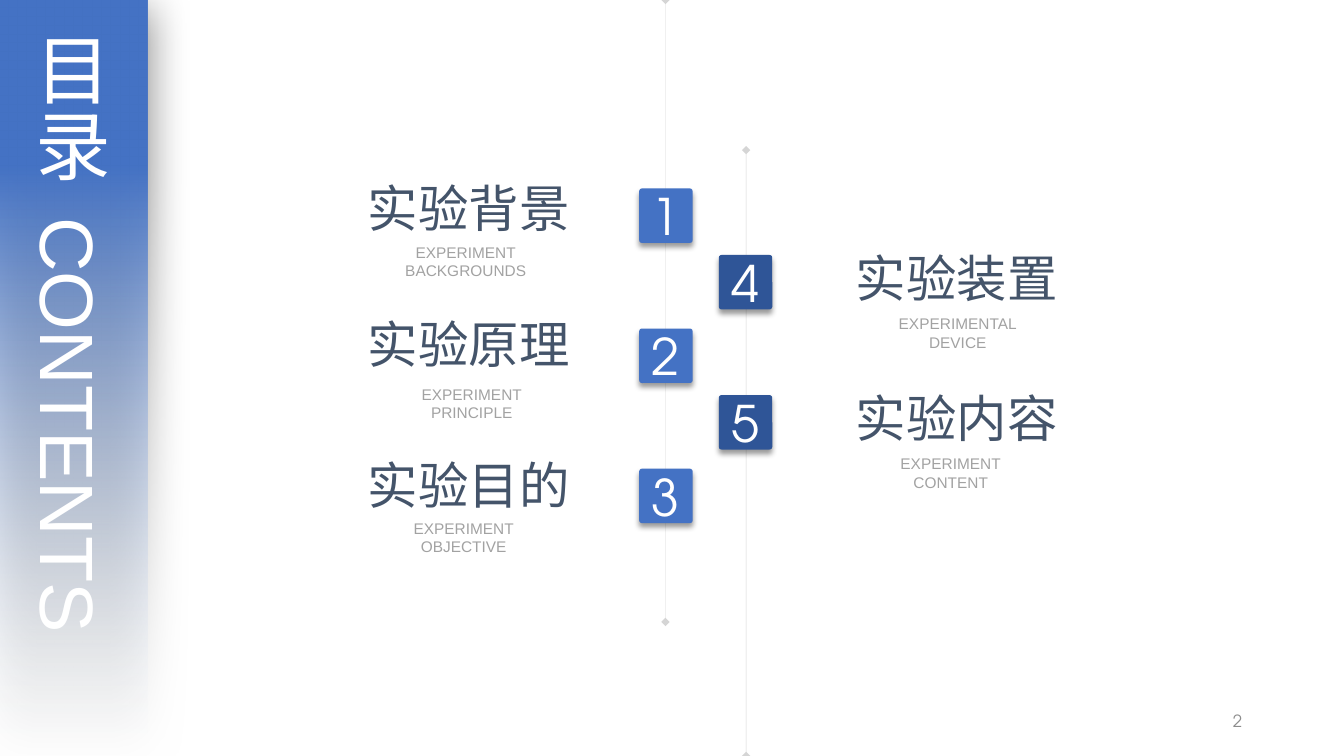
import copy
from dataclasses import dataclass

import pptx
import pptx.dml.color
import pptx.enum.dml
import pptx.enum.shapes
import pptx.enum.text
import pptx.oxml
import pptx.oxml.ns
import pptx.util

RGB = pptx.dml.color.RGBColor
SHAPES = pptx.enum.shapes.MSO_SHAPE
ALIGN = pptx.enum.text.PP_ALIGN
ANCHOR = pptx.enum.text.MSO_ANCHOR
AUTO_SIZE = pptx.enum.text.MSO_AUTO_SIZE
qn = pptx.oxml.ns.qn

PX = 9144  # EMU in one px, 100 px to the inch
WIDTH, HEIGHT = 1333, 750

BLUE = RGB(0x44, 0x72, 0xC4)
NAVY = RGB(0x2F, 0x55, 0x97)
PALE = RGB(0xF7, 0xFA, 0xFD)
SLATE = RGB(0x44, 0x54, 0x6A)
GRAY = RGB(0xA2, 0xA2, 0xA2)
LINE_GRAY = RGB(0x80, 0x80, 0x80)
NUMBER_GRAY = RGB(0x8C, 0x8C, 0x8C)
WHITE = RGB(0xFF, 0xFF, 0xFF)

LATIN, CHINESE, NUMERAL = "Arial", "Noto Sans CJK SC", "TeX Gyre Adventor"
BADGE_WIDTH, BADGE_HEIGHT, BADGE_STEP = 53, 54, 139
LABEL_WIDTH, LABEL_HEIGHT = 226, 71
CAPTION_WIDTH, CAPTION_HEIGHT = 200, 29


@dataclass
class Topic:
    label: str
    caption: str
    label_top: int
    caption_center: int
    caption_top: int


@dataclass
class Column:
    first: int
    color: RGB
    badge_left: int
    badge_top: int
    label_left: int
    line_x: int
    line_top: int
    line_bottom: int
    topics: list[Topic]


COLUMNS = [
    Column(4, NAVY, 713, 253, 839, 740, 149, HEIGHT, [
        Topic("实验装置", "EXPERIMENTAL\nDEVICE", 240, 950, 307),
        Topic("实验内容", "EXPERIMENT\nCONTENT", 379, 943, 446),
    ]),
    Column(1, BLUE, 634, 187, 355, 660, 0, 617, [
        Topic("实验背景", "EXPERIMENT\nBACKGROUNDS", 171, 462, 236),
        Topic("实验原理", "EXPERIMENT\nPRINCIPLE", 306, 468, 377),
        Topic("实验目的", "EXPERIMENT\nOBJECTIVE", 446, 460, 510),
    ]),
]


def px(*lengths: int) -> list[int]:
    return [length * PX for length in lengths]


def element(tag: str, **attributes: object):
    node = pptx.oxml.parse_xml(f"<a:{tag} {pptx.oxml.ns.nsdecls('a')}/>")
    for key, value in attributes.items():
        node.set(key, str(value))
    return node


def set_alpha(color_node, percent: int) -> None:
    color_node.append(element("alpha", val=percent * 1000))


def add_shadow(shape, *, alpha: int, blur: int, distance: int, angle: int) -> None:
    """Blur and distance in points, angle in degrees."""
    shape.shadow.inherit = False
    shadow = element("outerShdw", blurRad=blur * 12700, dist=distance * 12700,
                     dir=angle * 60000, algn="ctr", rotWithShape=0)
    black = element("srgbClr", val="000000")
    set_alpha(black, alpha)
    shadow.append(black)
    shape._element.spPr.find(qn("a:effectLst")).append(shadow)


def add_span(para, text: str, *, size: int, color: RGB, font: str, spacing: int = 0):
    span = para.add_run()
    span.text = text
    span.font.size = pptx.util.Pt(size)
    span.font.color.rgb = color
    span.font.name = font
    properties = span._r.get_or_add_rPr()
    properties.find(qn("a:latin")).addnext(element("ea", typeface=font))
    if spacing:
        properties.set("spc", str(spacing * 100))
    return span


def write(frame, text: str, *, size: int, color: RGB, font: str = LATIN,
          align=ALIGN.LEFT, anchor=ANCHOR.TOP, wrap: bool = True,
          grow: bool = False) -> None:
    frame.word_wrap = wrap
    frame.auto_size = AUTO_SIZE.SHAPE_TO_FIT_TEXT if grow else AUTO_SIZE.NONE
    frame.vertical_anchor = anchor
    para = frame.paragraphs[0]
    para.alignment = align
    for number, line in enumerate(text.split("\n")):
        if number:
            para.add_line_break()
            para._p[-1].append(copy.deepcopy(span._r.rPr))
        span = add_span(para, line, size=size, color=color, font=font)


def add_guide(page, column: Column) -> None:
    guide = page.shapes.add_connector(
        pptx.enum.shapes.MSO_CONNECTOR.STRAIGHT,
        *px(column.line_x, column.line_top, column.line_x, column.line_bottom))
    guide.line.width = pptx.util.Pt(0.25)
    guide.line.color.rgb = LINE_GRAY
    properties = guide._element.spPr
    set_alpha(next(properties.iter(qn("a:srgbClr"))), 33)
    for tag in ("headEnd", "tailEnd"):
        properties.find(qn("a:ln")).append(element(tag, type="diamond"))
    properties.append(element("effectLst"))


def add_band(page) -> None:
    band = page.shapes.add_shape(SHAPES.RECTANGLE, *px(-300, 299, 746, 147))
    band.rotation = 90
    band.line.fill.background()
    band.fill.gradient()
    band.fill.gradient_angle = 180
    for stop, position, color in zip(band.fill.gradient_stops, (0, 0.78), (PALE, BLUE)):
        stop.position = position
        stop.color.rgb = color
    set_alpha(next(band._element.spPr.iter(qn("a:srgbClr"))), 0)
    add_shadow(band, alpha=50, blur=31, distance=6, angle=97)


def add_title(page) -> None:
    title = page.shapes.title
    title.left, title.top, title.width, title.height = px(14, 27, 111, 705)
    frame = title.text_frame
    write(frame, "目录", size=54, color=WHITE, font=CHINESE, grow=True)
    para = frame.paragraphs[0]
    add_span(para, " ", size=54, color=WHITE, font=CHINESE, spacing=12)
    add_span(para, "CONTENTS", size=54, color=WHITE, font=LATIN)
    frame._txBody.bodyPr.set("vert", "eaVert")
    page.shapes._spTree.append(title._element)  # in front of the band


def add_badge(page, column: Column, index: int) -> None:
    badge = page.shapes.add_shape(
        SHAPES.ROUNDED_RECTANGLE,
        *px(column.badge_left, column.badge_top + index * BADGE_STEP,
            BADGE_WIDTH, BADGE_HEIGHT))
    badge.adjustments[0] = 0.05
    badge.fill.solid()
    badge.fill.fore_color.rgb = column.color
    badge.line.fill.background()
    add_shadow(badge, alpha=40, blur=4, distance=3, angle=90)
    write(badge.text_frame, str(column.first + index), size=36, color=WHITE,
          font=NUMERAL, align=ALIGN.CENTER, anchor=ANCHOR.MIDDLE)


def add_topic(page, column: Column, topic: Topic) -> None:
    label = page.shapes.add_textbox(
        *px(column.label_left, topic.label_top, LABEL_WIDTH, LABEL_HEIGHT))
    write(label.text_frame, topic.label, size=36, color=SLATE, wrap=False, grow=True)
    caption = page.shapes.add_textbox(
        *px(topic.caption_center - CAPTION_WIDTH // 2, topic.caption_top,
            CAPTION_WIDTH, CAPTION_HEIGHT))
    write(caption.text_frame, topic.caption, size=11, color=GRAY,
          align=ALIGN.CENTER, wrap=False, grow=True)


def main() -> None:
    deck = pptx.Presentation()
    deck.slide_width, deck.slide_height = px(WIDTH, HEIGHT)
    page = deck.slides.add_slide(deck.slide_layouts.get_by_name("Title Only"))

    # Guide lines, then the side band with its title
    for column in COLUMNS:
        add_guide(page, column)
    add_band(page)
    add_title(page)

    # Numbered topics
    for column in COLUMNS:
        for index, topic in enumerate(column.topics):
            add_badge(page, column, index)
            add_topic(page, column, topic)

    # Page number
    number = page.shapes.add_textbox(*px(942, 695, 300, 40))
    write(number.text_frame, "2", size=12, color=NUMBER_GRAY, font=NUMERAL,
          align=ALIGN.RIGHT, anchor=ANCHOR.MIDDLE)

    deck.save("out.pptx")


if __name__ == "__main__":
    main()
